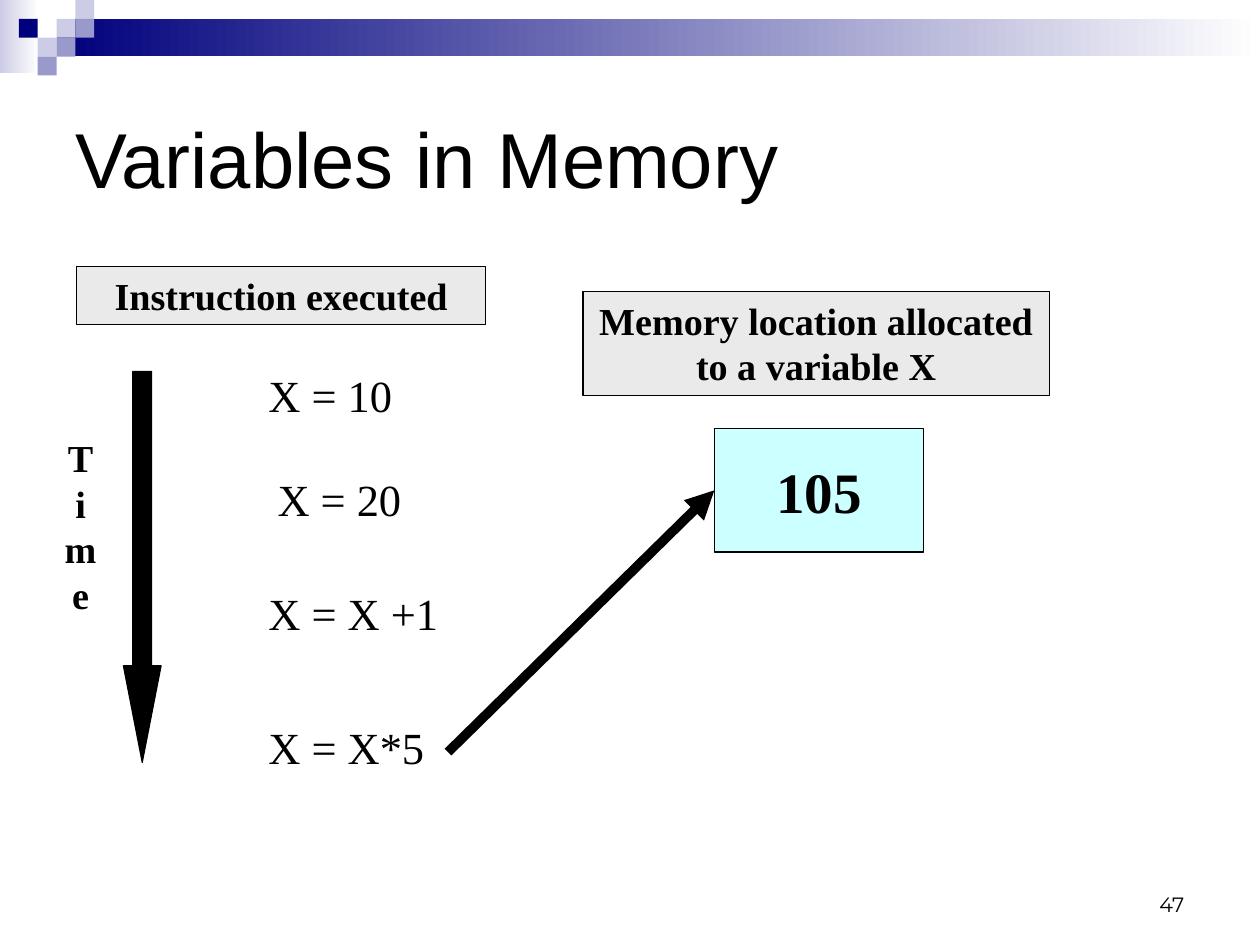
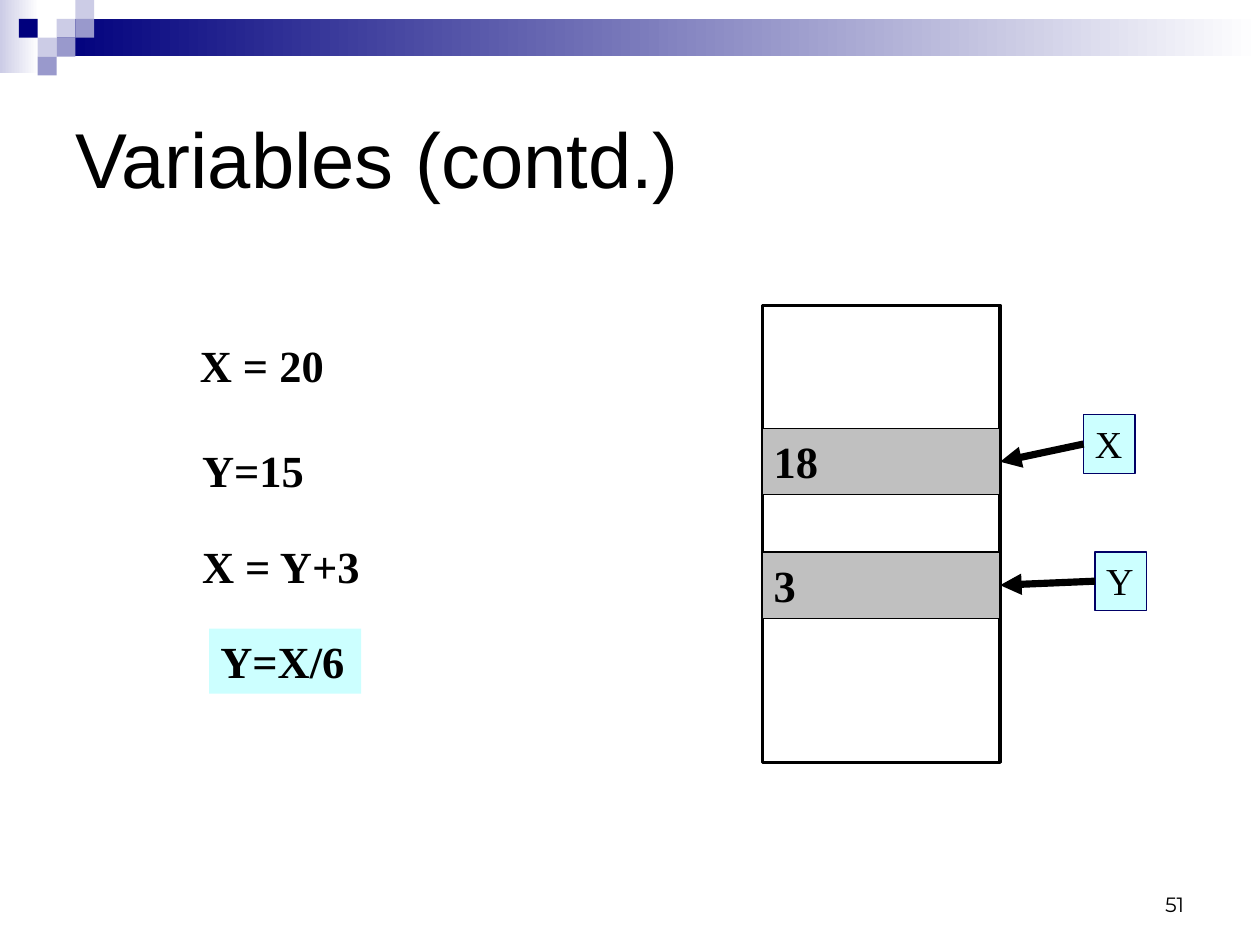
"""Build two slides on how variables are kept in memory."""
from pptx import Presentation
from pptx.dml.color import RGBColor
from pptx.enum.shapes import MSO_CONNECTOR, MSO_SHAPE
from pptx.enum.text import MSO_ANCHOR, PP_ALIGN
from pptx.oxml.ns import qn
from pptx.util import Inches, Pt
from lxml import etree

RECTANGLE, DOWN_ARROW = MSO_SHAPE.RECTANGLE, MSO_SHAPE.DOWN_ARROW
STRAIGHT = MSO_CONNECTOR.STRAIGHT
TOP, MIDDLE, BOTTOM = MSO_ANCHOR.TOP, MSO_ANCHOR.MIDDLE, MSO_ANCHOR.BOTTOM
LEFT, CENTER, RIGHT = PP_ALIGN.LEFT, PP_ALIGN.CENTER, PP_ALIGN.RIGHT
TITLE_FONT, BODY_FONT, NUMBER_FONT = "Arial", "Times New Roman", "Montserrat"
COLOURS = {
    "black": "000000", "white": "FFFFFF", "navy": "00007D", "tag line": "000066",
    "lavender": "CCCCE6", "periwinkle": "9999CC", "cyan": "CCFFFF",
    "pale grey": "EAEAEA", "grey": "C0C0C0",
}
COLOURS = {name: RGBColor.from_string(value) for name, value in COLOURS.items()}
CELL = 0.33 / 2
SLIDE_WIDTH, SLIDE_HEIGHT = 28 / 2.54, 21 / 2.54


def add_box(slide, place, lines=(), size=28, bold=False, fill=None, line=None, weight=0.75,
            align=LEFT, anchor=TOP, wrap=True, font=BODY_FONT, preset=RECTANGLE):
    place = [Inches(length) for length in place]
    if fill or line:
        shape = slide.shapes.add_shape(preset, *place)
        shape.shadow.inherit = False
        if fill:
            shape.fill.solid()
            shape.fill.fore_color.rgb = COLOURS[fill]
        else:
            shape.fill.background()
        if line:
            shape.line.color.rgb = COLOURS[line]
            shape.line.width = Pt(weight)
        else:
            shape.line.fill.background()
    else:
        shape = slide.shapes.add_textbox(*place)
    frame = shape.text_frame
    frame.word_wrap = wrap
    frame.vertical_anchor = anchor
    for index, text in enumerate(lines):
        paragraph = frame.add_paragraph() if index else frame.paragraphs[0]
        paragraph.alignment = align
        run = paragraph.add_run()
        run.text = text
        run.font.name = font
        run.font.size = Pt(size)
        run.font.bold = bold
        run.font.color.rgb = COLOURS["black"]
    return shape


def add_arrow(slide, start, target, side, weight):
    x, y = [Inches(length) for length in start]
    connector = slide.shapes.add_connector(STRAIGHT, x, y, x, y)
    connector.end_connect(target, side)
    connector.line.color.rgb = COLOURS["black"]
    connector.line.width = Pt(weight)
    properties = connector.element.find(qn("p:spPr"))
    etree.SubElement(properties.find(qn("a:ln")), qn("a:tailEnd"), type="triangle")
    etree.SubElement(properties, qn("a:effectLst"))
    return connector


presentation = Presentation()
presentation.slide_width = Inches(SLIDE_WIDTH)
presentation.slide_height = Inches(SLIDE_HEIGHT)
layout = presentation.slide_layouts[5]

slides = []
for title_text, number in (("Variables in Memory", "47"), ("Variables (contd.)", "51")):
    slide = presentation.slides.add_slide(layout)
    slides.append(slide)
    title = slide.shapes.title
    title.left, title.top = Inches(0.55), Inches(0.55)
    title.width, title.height = Inches(9.92), Inches(1.65)
    title.text_frame.word_wrap = True
    title.text_frame.vertical_anchor = MIDDLE
    paragraph = title.text_frame.paragraphs[0]
    paragraph.alignment = LEFT
    run = paragraph.add_run()
    run.text = title_text
    run.font.name = TITLE_FONT
    run.font.size = Pt(49)
    run.font.color.rgb = COLOURS["black"]
    number_box = add_box(slide, (7.9, 7.53, 2.57, 0.55), [number], 13,
                         align=RIGHT, anchor=BOTTOM, font=NUMBER_FONT)
    for frame in (title.text_frame, number_box.text_frame):
        frame.margin_left = frame.margin_right = Inches(0.11)
        frame.margin_top = frame.margin_bottom = Inches(0.06)

memory_slide, contd_slide = slides

decorations = []
for place, colour in (((0, 0, 0.34, 0.64), "lavender"),
                      ((0.5, CELL, SLIDE_WIDTH - 0.5, 2 * CELL), "navy")):
    band = add_box(memory_slide, place, fill=colour)
    band.fill.gradient()
    band.fill.gradient_angle = 0
    for stop, position, name in zip(band.fill.gradient_stops, (0, 1), (colour, "white")):
        stop.position = position
        stop.color.rgb = COLOURS[name]
    decorations.append(band)
for column, row, colour in ((3, 1, "lavender"), (4, 0, "lavender"), (4, 1, "periwinkle"),
                            (2, 2, "lavender"), (1, 1, "navy"), (3, 2, "periwinkle"),
                            (2, 3, "periwinkle")):
    decorations.append(add_box(memory_slide, (column * CELL, row * CELL, CELL, CELL), fill=colour))
for index, shape in enumerate(decorations):
    layout.shapes.element.insert(2 + index, shape.element)

for place, heading in (((0.67, 2.33, 3.58, 0.51), "Instruction executed"),
                       ((5.1, 2.55, 4.08, 0.91), "Memory location allocated to a variable X")):
    add_box(memory_slide, place, [heading], 24, True, "pale grey", "black", align=CENTER)
add_box(memory_slide, (0.33, 3.75, 0.75, 2.3), ["T", "i", "m", "e"], 24, True, align=CENTER)
time_arrow = add_box(memory_slide, (1.08, 3.25, 0.33, 3.42), fill="black", line="black",
                     preset=DOWN_ARROW)
time_arrow.adjustments[0] = 0.5
time_arrow.adjustments[1] = 2.56
for left, top, width, instruction in ((2.25, 3.17, 1.58, "X = 10"), (2.33, 4.08, 1.58, "X = 20"),
                                      (2.25, 5.08, 2, "X = X +1"), (2.25, 6.25, 1.58, "X = X*5")):
    add_box(memory_slide, (left, top, width, 0.57), [instruction])
value_box = add_box(memory_slide, (6.25, 3.75, 1.83, 1.08), ["105"], 36, True, "cyan", "black",
                    align=CENTER, anchor=MIDDLE, wrap=False)
add_arrow(memory_slide, (3.92, 6.58), value_box, 1, 6)

add_box(contd_slide, (6.67, 2.67, 2.08, 4), line="black", weight=2)
for cell_top, value, tag_left, tag_top, variable in ((3.75, "18", 9.48, 3.63, "X"),
                                                     (4.83, "3", 9.58, 4.83, "Y")):
    cell = add_box(contd_slide, (6.67, cell_top, 2.08, 0.58), [value], 28, True, "grey", "black")
    tag = add_box(contd_slide, (tag_left, tag_top, 0.45, 0.51), [variable], 24,
                  fill="cyan", line="tag line", wrap=False)
    arrow = add_arrow(contd_slide, (tag_left, tag_top), cell, 3, 4.5)
    arrow.begin_connect(tag, 1)
for left, top, width, instruction, fill, wrap in ((1.65, 2.91, 1.29, "X = 20", None, False),
                                                  (1.67, 3.83, 1.09, "Y=15", None, False),
                                                  (1.67, 4.67, 1.83, "X = Y+3", None, True),
                                                  (1.83, 5.5, 1.33, "Y=X/6", "cyan", True)):
    add_box(contd_slide, (left, top, width, 0.57), [instruction], bold=True, fill=fill, wrap=wrap)

presentation.save("out.pptx")
